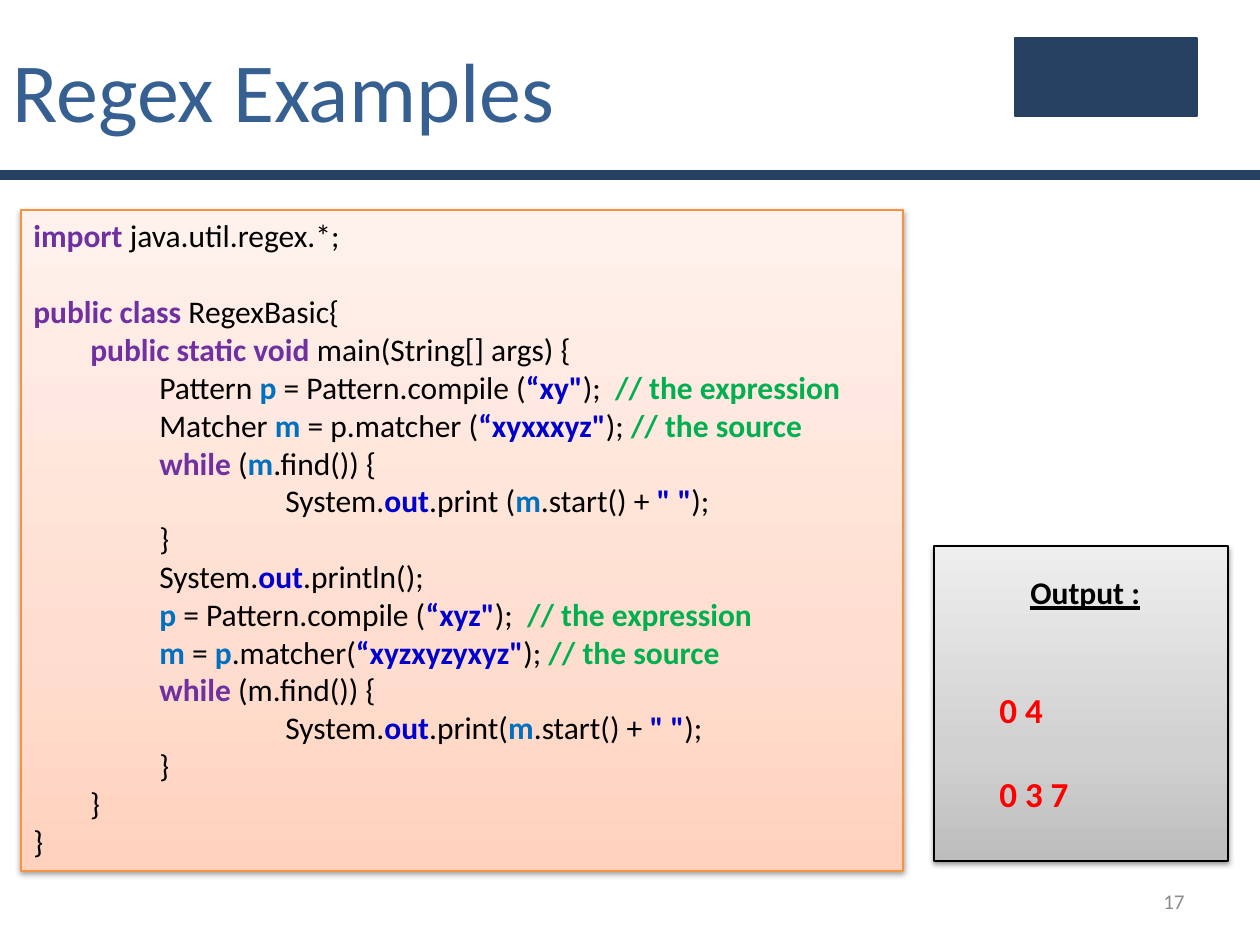
from copy import deepcopy

from lxml.etree import SubElement
from pptx import Presentation
from pptx.dml.color import RGBColor
from pptx.enum.shapes import MSO_SHAPE as Shape
from pptx.enum.text import MSO_ANCHOR as Anchor, MSO_AUTO_SIZE as AutoSize, PP_ALIGN as Align
from pptx.oxml.ns import qn
from pptx.util import Emu, Pt

EMU_PER_PX = 914400 / 126
TAB_STEP = 126

BLACK = RGBColor(0x00, 0x00, 0x00)
NAVY = RGBColor(0x25, 0x40, 0x61)
TITLE_BLUE = RGBColor(0x37, 0x60, 0x92)
KEYWORD = RGBColor(0x70, 0x30, 0xA0)
VARIABLE = RGBColor(0x00, 0x70, 0xC0)
LITERAL = RGBColor(0x00, 0x00, 0xCC)
COMMENT = RGBColor(0x00, 0xB0, 0x50)
RED = RGBColor(0xFF, 0x00, 0x00)
GREY = RGBColor(0x8C, 0x8C, 0x8C)
ORANGE = RGBColor(0xF6, 0x92, 0x40)
PEACH = [RGBColor(0xFF, 0xD2, 0xBD), RGBColor(0xFF, 0xDE, 0xD0), RGBColor(0xFF, 0xF2, 0xED)]
SILVER = [RGBColor(0xBD, 0xBD, 0xBD), RGBColor(0xD1, 0xD1, 0xD1), RGBColor(0xEE, 0xEE, 0xEE)]
STOP_POSITIONS = (0, 0.35, 1)

PRINT_END = [(".start() + ", None), ('" "', LITERAL), (");", None)]

# Each code line is a list of (text, highlight colour) pieces.
CODE = [
    [("import", KEYWORD), (" java.util.regex.*;", None)],
    [("public class", KEYWORD), (" RegexBasic{", None)],
    [("        ", None), ("public static void", KEYWORD), (" main(String[] args) {", None)],
    [("\tPattern ", None), ("p", VARIABLE), (" = Pattern.compile (", None),
     ("“xy\"", LITERAL), (");  ", None), ("// the expression", COMMENT)],
    [("\tMatcher ", None), ("m", VARIABLE), (" = p.matcher (", None),
     ("“xyxxxyz\"", LITERAL), ("); ", None), ("// the source", COMMENT)],
    [("\t", None), ("while", KEYWORD), (" (", None), ("m", VARIABLE), (".find()) {", None)],
    [("\t\tSystem.", None), ("out", LITERAL), (".print (", None), ("m", VARIABLE), *PRINT_END],
    [("\t}", None)],
    [("\tSystem.", None), ("out", LITERAL), (".println();", None)],
    [("\t", None), ("p", VARIABLE), (" = Pattern.compile (", None),
     ("“xyz\"", LITERAL), (");  ", None), ("// the expression", COMMENT)],
    [("\t", None), ("m", VARIABLE), (" = ", None), ("p", VARIABLE), (".matcher(", None),
     ("“xyzxyzyxyz\"", LITERAL), ("); ", None), ("// the source", COMMENT)],
    [("\t", None), ("while", KEYWORD), (" (m.find()) {", None)],
    [("\t\tSystem.", None), ("out", LITERAL), (".print(", None), ("m", VARIABLE), *PRINT_END],
    [("\t}", None)],
    [("        }", None)],
    [("}", None)],
]


def px(*lengths):
    return [Emu(round(length * EMU_PER_PX)) for length in lengths]


class SlideBuilder:
    def __init__(self, slide, font="Calibri"):
        self.slide = slide
        self.font = font

    def add_span(self, para, text, size, colour, bold=False, underline=False):
        span = para.add_run()
        span.text = text
        font = span.font
        font.name, font.size, font.bold = self.font, Pt(size), bold
        font.underline = underline
        font.color.rgb = colour

    def title(self, text, left, top, width, height):
        box = self.slide.shapes.title
        box.left, box.top, box.width, box.height = px(left, top, width, height)
        frame = box.text_frame
        frame.auto_size = AutoSize.NONE
        frame.vertical_anchor = Anchor.MIDDLE
        frame.paragraphs[0].alignment = Align.LEFT
        self.add_span(frame.paragraphs[0], text, 48, TITLE_BLUE)

    def block(self, left, top, width, height, colour):
        box = self.slide.shapes.add_shape(Shape.RECTANGLE, *px(left, top, width, height))
        box.shadow.inherit = False
        box.fill.solid()
        box.fill.fore_color.rgb = colour
        box.line.color.rgb = colour
        return box

    def panel(self, left, top, width, height, colours, outline):
        """Add a rectangle with an upward gradient and a soft shadow below."""
        box = self.block(left, top, width, height, outline)
        box.line.width = Pt(0.75)
        box.fill.gradient()
        box.fill.gradient_angle = 90
        stop_list = box.element.spPr.find(".//" + qn("a:gsLst"))
        stop_list.append(deepcopy(stop_list[0]))
        for stop, position, colour in zip(box.fill.gradient_stops, STOP_POSITIONS, colours):
            stop.position = position
            stop.color.rgb = colour
        effects = box.element.spPr.find(qn("a:effectLst"))
        shadow = SubElement(effects, qn("a:outerShdw"), blurRad="40000", dist="20000",
                            dir="5400000", rotWithShape="0")
        shade = SubElement(shadow, qn("a:srgbClr"), val="000000")
        SubElement(shade, qn("a:alpha"), val="38000")
        return box

    def code(self, box, lines, size, gap_before):
        """Fill box with highlighted lines; gap_before is the line set apart."""
        frame = box.text_frame
        frame.word_wrap = True
        frame.vertical_anchor = Anchor.TOP
        for index, pieces in enumerate(lines):
            para = frame.add_paragraph() if index else frame.paragraphs[0]
            para.alignment = Align.LEFT
            if index == gap_before:
                para.space_before = Pt(22)
            tabs = SubElement(para._p.get_or_add_pPr(), qn("a:tabLst"))
            for position in px(TAB_STEP, 2 * TAB_STEP):
                SubElement(tabs, qn("a:tab"), pos=str(position), algn="l")
            for text, colour in pieces:
                self.add_span(para, text, size, colour or BLACK, bold=colour is not None)

    def text(self, lines, left, top, width, height, size, colour, bold=False,
             underline=False, align=Align.LEFT, anchor=Anchor.TOP, gap=0):
        box = self.slide.shapes.add_textbox(*px(left, top, width, height))
        frame = box.text_frame
        frame.word_wrap = True
        frame.vertical_anchor = anchor
        for index, line in enumerate(lines):
            para = frame.add_paragraph() if index else frame.paragraphs[0]
            para.alignment = align
            if index:
                para.space_before = Pt(gap)
            self.add_span(para, line, size, colour, bold, underline)


def main():
    deck = Presentation()
    deck.slide_width, deck.slide_height = px(1260, 945)
    page = SlideBuilder(deck.slides.add_slide(deck.slide_layouts[5]))

    divider = page.block(0, 172, 1260, 6, NAVY)
    divider.line.width = Pt(2)
    page.block(1015, 38, 182, 78, NAVY)
    page.title("Regex Examples", 0, 0, 987, 178)

    listing = page.panel(21, 210, 882, 661, PEACH, ORANGE)
    page.code(listing, CODE, 18, gap_before=1)

    page.panel(934, 546, 294, 315, SILVER, BLACK)
    page.text(["Output :"], 1018, 567, 147, 89, 18, BLACK, bold=True, underline=True)
    page.text(["0 4", "0 3 7"], 987, 682, 199, 140, 20, RED, bold=True, gap=24)
    page.text(["17"], 903, 876, 294, 50, 12, GREY, align=Align.RIGHT, anchor=Anchor.MIDDLE)

    deck.save("out.pptx")


if __name__ == "__main__":
    main()
